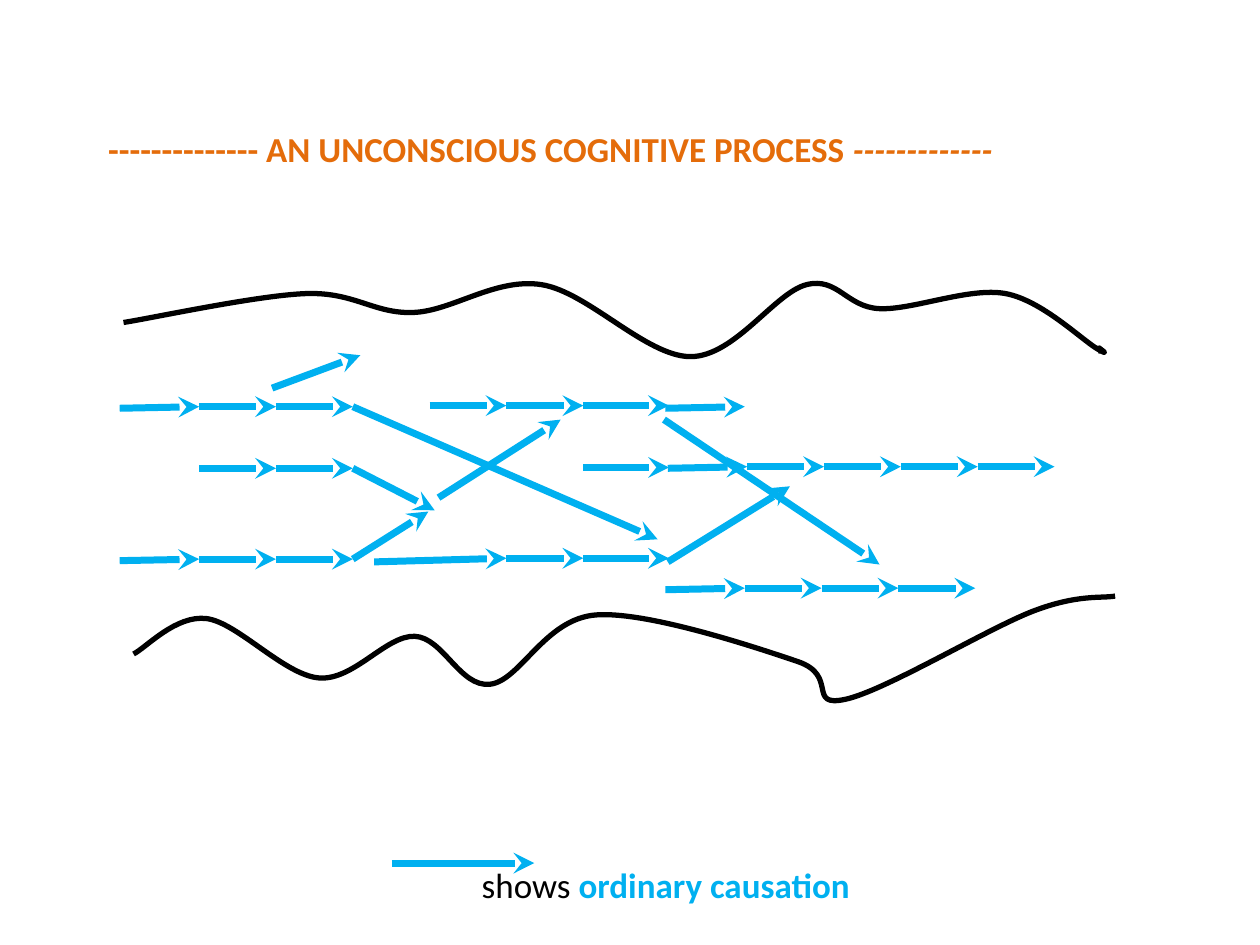
from itertools import accumulate, pairwise

from lxml.etree import SubElement
from pptx import Presentation
from pptx.dml.color import RGBColor
from pptx.enum.shapes import MSO_CONNECTOR
from pptx.enum.text import MSO_AUTO_SIZE, PP_ALIGN
from pptx.oxml.ns import qn
from pptx.util import Pt

THEME = {
    "font": "Calibri", "size": 20,
    "title": "E46C0A", "ink": "000000", "cause": "00B0F0",
    "border_width": 3, "arrow_width": 4,
}

TEXTS = [
    {"at": (54.7, 69.6, 597.6, 31.7), "align": PP_ALIGN.LEFT, "runs": [
        ("-------------- AN UNCONSCIOUS COGNITIVE PROCESS ", "title", {"bold": True}),
        ("-------------", "title", {"bold": True, "italic": True}),
    ]},
    {"at": (267.8, 489.8, 225.4, 31.7), "align": PP_ALIGN.CENTER, "runs": [
        ("shows", "ink", {}),
        (" ordinary causation", "cause", {"bold": True}),
    ]},
]

BORDERS = {
    "upper": [(70.6, 184.3), (175, 167.8), (236.2, 178.6), (309.6, 162.7),
              (394.6, 203.8), (460.8, 162.7), (502.6, 176.4), (574.6, 167.8),
              (627.1, 199.4), (627.8, 198.7), (629.3, 201.6)],
    "lower": [(76.3, 373.7), (118.1, 353.5), (182.2, 387.4), (236.9, 363.6),
              (280.1, 391), (340.6, 351.4), (455.8, 378), (483.1, 399.6),
              (590.4, 349.2), (637.2, 340.6)],
}

LINKS = {
    "lead": (45.4, -0.9),
    "step": (43.9, 0),
    "wide": (48.9, 0),
    "slow": (75.6, -2.1),
    "key": (81.4, 0),
}

CHAINS = {
    "top left": ((68.4, 233.3), ["lead", "step", "step"]),
    "top centre": ((245.5, 231.8), ["step", "step", "wide"]),
    "top right": ((380.2, 233.3), ["lead"]),
    "middle left": ((113.8, 267.6), ["step", "step"]),
    "middle centre": ((333.4, 267.1), ["wide"]),
    "middle right": ((381.6, 267.6), ["lead"] + ["step"] * 4),
    "bottom left": ((68.4, 320.4), ["lead", "step", "step"]),
    "bottom centre": ((213.8, 321.1), ["slow", "step", "wide"]),
    "lowest right": ((380.2, 337), ["lead"] + ["step"] * 3),
    "legend": ((223.9, 493.2), ["key"]),
}

BRANCH_TIPS = {
    "top left": (375.8, 308.2),
    "middle left": (248.4, 291.6),
    "bottom left": (244.8, 292.3),
}

LOOSE_ARROWS = {
    "escape upward": ((155.5, 221.8), (205.9, 203)),
    "middle to top": ((250.6, 284.4), (320.4, 239.8)),
    "bottom to middle": ((381.6, 321.1), (451.4, 277.9)),
    "top to lowest": ((379.4, 239.8), (502.6, 322.6)),
}


def colour(name):
    return RGBColor.from_string(THEME[name])


def set_values(obj, values):
    for key, value in values.items():
        setattr(obj, key, value)


def shift(point, offset):
    return point[0] + offset[0], point[1] + offset[1]


def style_line(sp, name, width):
    set_values(sp.line, {"width": Pt(THEME[width])})
    sp.line.color.rgb = colour(name)
    SubElement(sp.element.spPr, qn("a:effectLst"))


def add_text(s, at, align, runs):
    tf = s.shapes.add_textbox(*map(Pt, at)).text_frame
    set_values(tf, {"word_wrap": True, "auto_size": MSO_AUTO_SIZE.SHAPE_TO_FIT_TEXT})
    p = tf.paragraphs[0]
    p.alignment = align
    for text, name, style in runs:
        r = p.add_run()
        r.text = text
        set_values(r.font, {"name": THEME["font"], "size": Pt(THEME["size"]), **style})
        r.font.color.rgb = colour(name)


def smooth_controls(anchors):
    padded = [anchors[0], *anchors, anchors[-1]]
    for before, start, end, after in zip(padded, padded[1:], padded[2:], padded[3:]):
        leave = [b + (c - a) / 6 for a, b, c in zip(before, start, end)]
        arrive = [b - (c - a) / 6 for a, b, c in zip(start, end, after)]
        yield leave, arrive, end


def add_border(s, anchors):
    anchors = [(Pt(x), Pt(y)) for x, y in anchors]
    builder = s.shapes.build_freeform(*anchors[0], scale=1.0)
    builder.add_line_segments(anchors[1:], close=False)
    sp = builder.convert_to_shape()
    sp.fill.background()
    style_line(sp, "ink", "border_width")
    segments = list(sp.element.iter(qn("a:lnTo")))
    for segment, controls in zip(segments, smooth_controls(anchors)):
        outline = segment.getparent()
        curve = SubElement(outline, qn("a:cubicBezTo"))
        for x, y in controls:
            SubElement(curve, qn("a:pt"), x=str(round(x - sp.left)), y=str(round(y - sp.top)))
        outline.replace(segment, curve)


def add_arrow(s, start, end):
    sp = s.shapes.add_connector(MSO_CONNECTOR.STRAIGHT, *map(Pt, start + end))
    style_line(sp, "cause", "arrow_width")
    SubElement(sp.line._get_or_add_ln(), qn("a:tailEnd"), type="stealth")


def add_chain(s, start, links):
    stops = list(accumulate((LINKS[link] for link in links), shift, initial=start))
    for arrow in pairwise(stops):
        add_arrow(s, *arrow)
    return stops[-1]


def main():
    prs = Presentation()
    set_values(prs, {"slide_width": Pt(720), "slide_height": Pt(540)})
    s = prs.slides.add_slide(prs.slide_layouts[6])
    for anchors in BORDERS.values():
        add_border(s, anchors)
    chain_ends = {name: add_chain(s, *chain) for name, chain in CHAINS.items()}
    for name, tip in BRANCH_TIPS.items():
        add_arrow(s, chain_ends[name], tip)
    for arrow in LOOSE_ARROWS.values():
        add_arrow(s, *arrow)
    for text in TEXTS:
        add_text(s, **text)
    prs.save("out.pptx")


if __name__ == "__main__":
    main()
